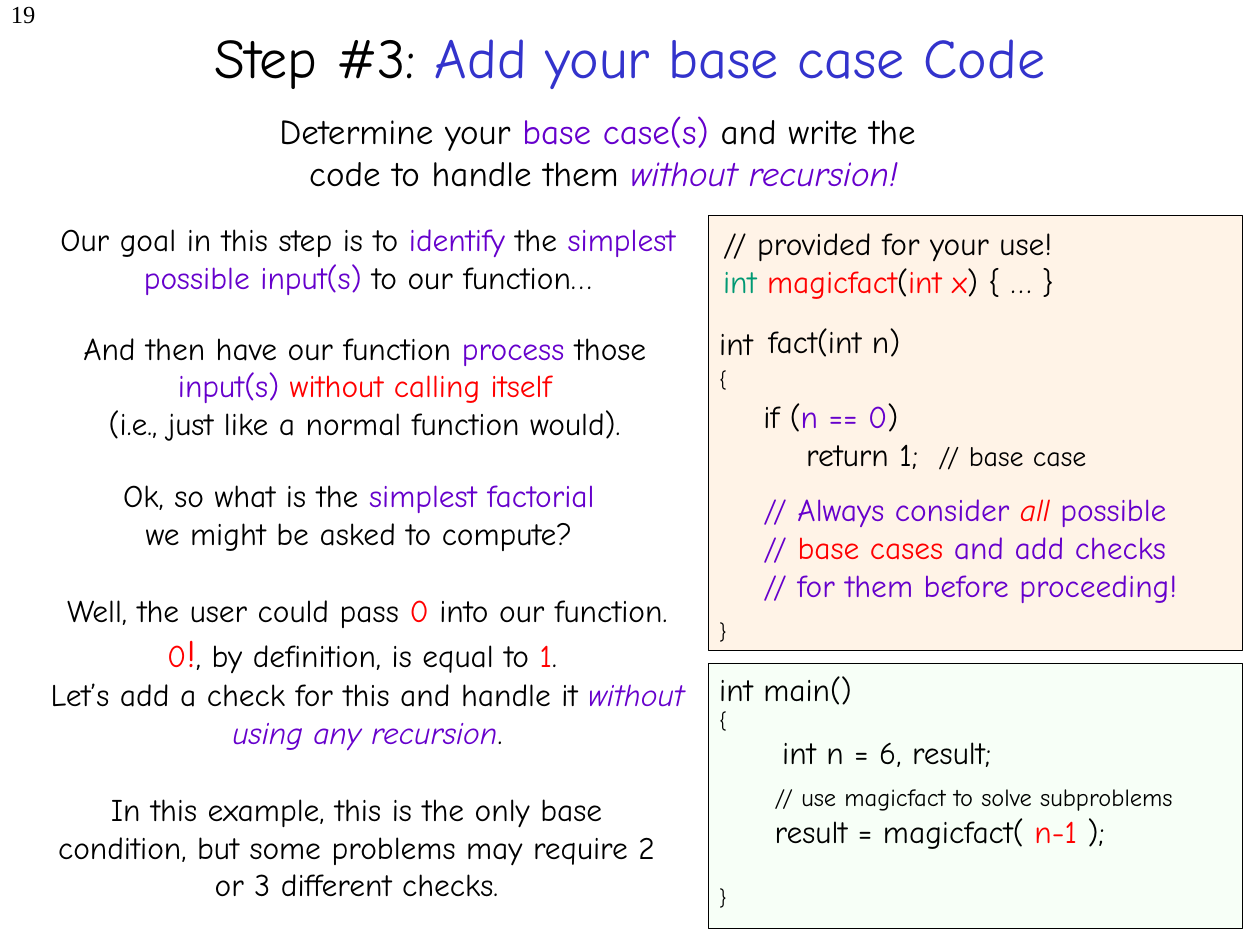
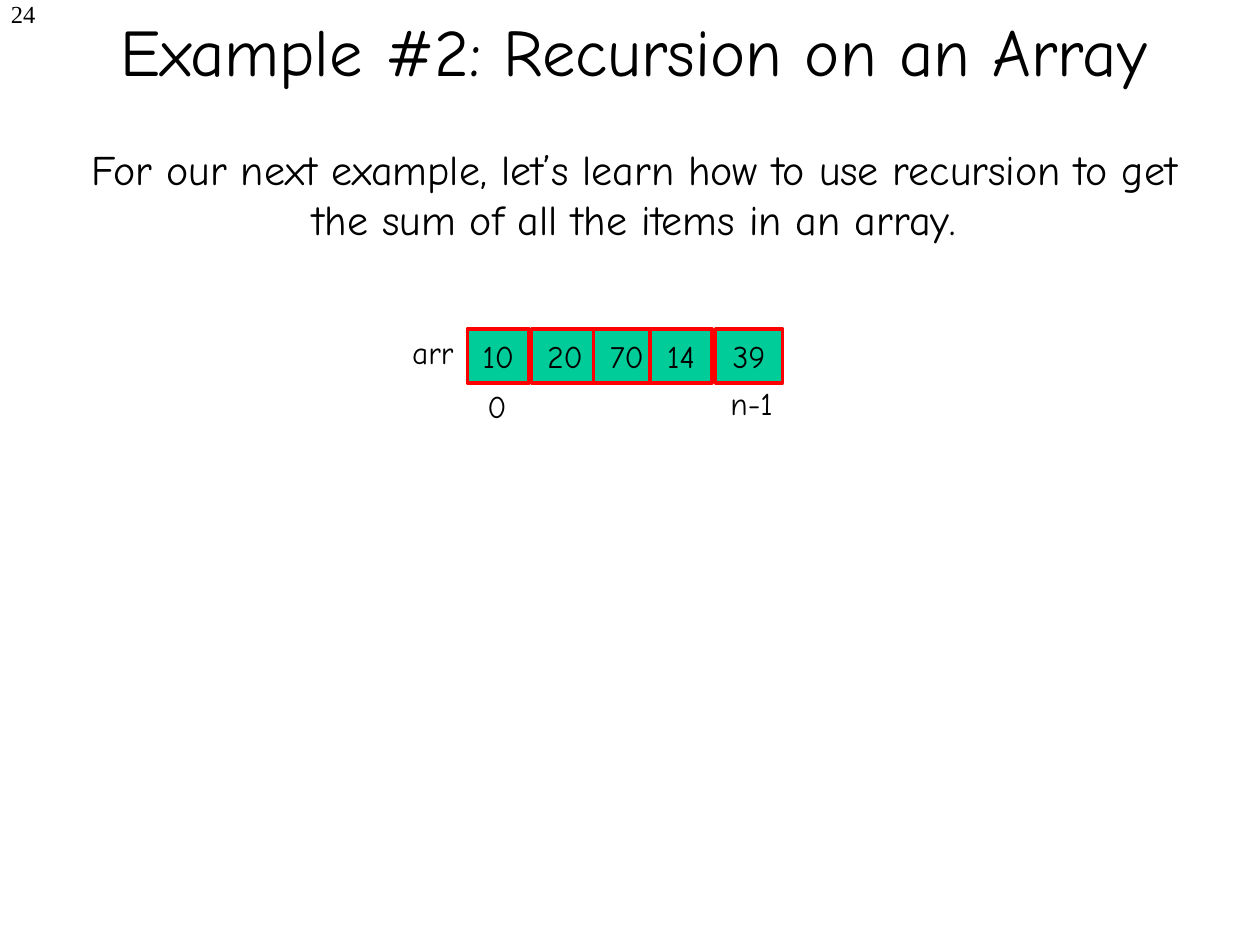
import pptx
import pptx.util
import pptx.dml.color
import pptx.enum.shapes
import pptx.enum.text

Inches = pptx.util.Inches
Pt = pptx.util.Pt
LEFT = pptx.enum.text.PP_ALIGN.LEFT
CENTER = pptx.enum.text.PP_ALIGN.CENTER
RIGHT = pptx.enum.text.PP_ALIGN.RIGHT
MIDDLE = pptx.enum.text.MSO_ANCHOR.MIDDLE
RECTANGLE = pptx.enum.shapes.MSO_SHAPE.RECTANGLE
colour = pptx.dml.color.RGBColor.from_string

PURPLE = {"color": "6600CC"}
PURPLE_ITALIC = {"color": "6600CC", "italic": True}
RED = {"color": "FF0000"}
RED_ITALIC = {"color": "FF0000", "italic": True}
BLUE = {"color": "3333CC"}
GREEN = {"color": "009973"}
SMALL = {"size": 12}


def write(shape, paragraphs, alignment=LEFT, wrap=True, **base):
    frame = shape.text_frame
    frame.auto_size = pptx.enum.text.MSO_AUTO_SIZE.NONE
    frame.word_wrap = wrap
    for index, runs in enumerate(paragraphs):
        paragraph = frame.add_paragraph() if index else frame.paragraphs[0]
        paragraph.alignment = alignment
        for item in runs:
            text, changes = (item, {}) if isinstance(item, str) else item
            values = {"name": "Comic Neue", "size": 18, "color": "000000", **base, **changes}
            for number, line in enumerate(text.split("\n")):
                if number:
                    paragraph.add_line_break()
                if not line:
                    continue
                run = paragraph.add_run()
                run.text = line
                for key, value in values.items():
                    if key == "color":
                        run.font.color.rgb = colour(value)
                    else:
                        setattr(run.font, key, Pt(value) if key == "size" else value)
    return frame


def add_box(slide, box, fill=None, line="000000", line_width=0.25):
    lengths = [Inches(value) for value in box]
    if fill is None:
        return slide.shapes.add_textbox(*lengths)
    shape = slide.shapes.add_shape(RECTANGLE, *lengths)
    shape.shadow.inherit = False
    shape.fill.solid()
    shape.fill.fore_color.rgb = colour(fill)
    shape.line.color.rgb = colour(line)
    shape.line.width = Pt(line_width)
    return shape


presentation = pptx.Presentation()
presentation.slide_width = Inches(10)
presentation.slide_height = Inches(7.5)

slides = []
for number, box, size, title_runs in [
    ("19", (0.75, -0.18, 8.5, 1.25), 32, ["Step #3: ", ("Add your base case Code", BLUE)]),
    ("24", (0.35, -0.23, 9.36, 1.25), 38, ["Example #2: Recursion on an Array"]),
]:
    slide = presentation.slides.add_slide(presentation.slide_layouts[5])
    slides.append(slide)
    title = slide.shapes.title
    title.left, title.top, title.width, title.height = [Inches(value) for value in box]
    write(title, [title_runs], CENTER, size=size).vertical_anchor = MIDDLE
    number_frame = write(add_box(slide, (0, -0.06, 0.38, 0.5)), [[number]], RIGHT,
                         name="Times New Roman", size=14)
    number_frame.margin_left = 0

base_case_slide, array_slide = slides

write(add_box(base_case_slide, (1.67, 0.82, 6.24, 0.77)), [[
    "Determine your ", ("base case(s)", PURPLE),
    " and write the \ncode to handle them ", ("without recursion!", PURPLE_ITALIC),
]], CENTER, size=20)

explanations = [
    ((0.31, 1.7, 5.22, 0.7), [[
        "Our goal in this step is to ", ("identify", PURPLE), " the ",
        ("simplest possible input(s)", PURPLE), " to our function…",
    ]]),
    ((0.43, 2.56, 4.93, 1), [
        ["And then have our function ", ("process ", PURPLE), "those",
         (" input(s) ", PURPLE), ("without calling itself", RED)],
        ["(i.e., just like a normal function would)."],
    ]),
    ((0.4, 3.73, 4.98, 0.7), [[
        "Ok, so what is the ", ("simplest factorial \n", PURPLE),
        "we might be asked to compute? ",
    ]]),
    ((0.19, 4.64, 5.45, 1.37), [
        ["Well, the user could pass ", ("0", RED), " into our function."],
        [("0", RED), ("!", {"color": "FF0000", "size": 22}),
         ", by definition, is equal to ", ("1", RED),
         ". \nLet’s add a check for this and handle it ",
         ("without using any recursion", PURPLE_ITALIC), "."],
    ]),
    ((0.23, 6.22, 5.2, 1), [[
        "In this example, this is the only base condition, "
        "but some problems may require 2 or 3 different checks.",
    ]]),
]
for box, paragraphs in explanations:
    write(add_box(base_case_slide, box), paragraphs, CENTER)

add_box(base_case_slide, (5.62, 5.26, 4.24, 2.11), "F7FFF7")
add_box(base_case_slide, (5.62, 1.71, 4.24, 3.45), "FFF3E7")

main_frame = write(add_box(base_case_slide, (5.61, 5.27, 4.23, 2)), [
    ["int main()"], [("{", SMALL)], ["int n = 6, result;"], [("}", SMALL)],
])
main_frame.paragraphs[2]._p.get_or_add_pPr().set("marL", str(Inches(0.5)))
main_frame.paragraphs[3].space_before = Inches(0.9)

braces_frame = write(add_box(base_case_slide, (5.61, 2.86, 2.49, 2.3)), [["{"], ["}"]], size=12)
braces_frame.paragraphs[1].space_before = Inches(1.8)

check_frame = write(add_box(base_case_slide, (5.96, 3.1, 3.5, 0.7)), [
    ["if (", ("n == 0", PURPLE), ")"], ["return 1;"],
])
check_frame.paragraphs[1]._p.get_or_add_pPr().set("marL", str(Inches(0.34)))

code_pieces = [
    ((6, 2.51, 2.49, 0.4), [["fact(int n)"]]),
    ((5.61, 2.52, 2.49, 0.4), [["int"]]),
    ((5.64, 1.73, 3.67, 0.71), [
        ["// provided for your use!"],
        [("int ", GREEN), ("magicfact", RED), "(", ("int x", RED), ") { … }"],
    ]),
    ((7.35, 3.43, 1.6, 0.37), [[("// base case", {"size": 16})]]),
    ((5.96, 3.84, 3.9, 1), [[
        ("// Always consider ", PURPLE), ("all", RED_ITALIC), (" possible \n// ", PURPLE),
        ("base cases", RED), (" and add checks \n// for them before proceeding!", PURPLE),
    ]]),
    ((6.05, 6.16, 3.8, 0.64), [
        [("// use magicfact to solve subproblems", {"size": 14})],
        ["result = magicfact(", (" n-1", RED), " );"],
    ]),
]
for box, paragraphs in code_pieces:
    write(add_box(base_case_slide, box), paragraphs)

write(add_box(array_slide, (0.57, 1.09, 8.93, 0.91)), [[
    "For our next example, let’s learn how to use recursion to get "
    "the sum of all the items in an array.",
]], CENTER, size=24)

for value, left, width in [
    ("10", 3.71, 0.49), ("20", 4.22, 0.53), ("70", 4.71, 0.53),
    ("14", 5.16, 0.49), ("39", 5.68, 0.53),
]:
    cell = add_box(array_slide, (left, 2.61, width, 0.43), "00CC99", "FF0000", 2)
    write(cell, [[value]], CENTER, wrap=False).vertical_anchor = MIDDLE

for label, box in [
    ("arr", (3.15, 2.59, 0.57, 0.4)),
    ("0", (3.77, 3.02, 0.35, 0.4)),
    ("n-1", (5.69, 3, 0.55, 0.4)),
]:
    write(add_box(array_slide, box), [[label]], CENTER, wrap=False)

presentation.save("out.pptx")
